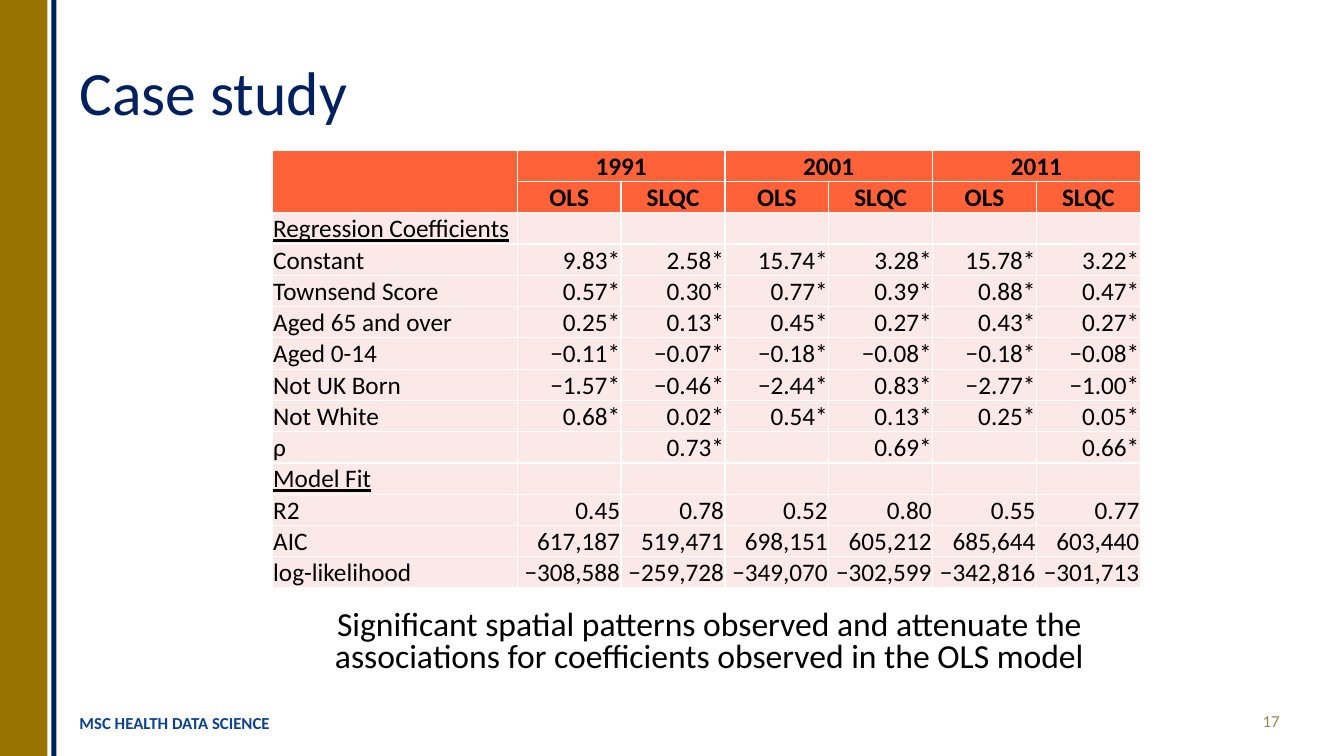
from lxml.etree import SubElement
from pptx import Presentation
from pptx.dml.color import RGBColor
from pptx.enum.shapes import MSO_SHAPE
from pptx.enum.text import MSO_ANCHOR, PP_ALIGN
from pptx.oxml.ns import qn
from pptx.util import Inches, Pt

FONT = "Calibri"
COLOURS = {
    "gold": "997300", "navy": "002060", "blue": "0B4293", "khaki": "948A54",
    "black": "000000", "white": "FFFFFF", "header": "FF6238", "body": "FBE9E8",
}
# left, width, colour
SIDE_BARS = [(0, 0.47, "gold"), (0.51, 0.05, "navy")]

TITLE = "Case study"
CONCLUSION = ("Significant spatial patterns observed and attenuate the "
              "associations for coefficients observed in the OLS model")
COURSE = "MSC HEALTH DATA SCIENCE"
PAGE_NUMBER = "17"

YEARS = ["1991", "2001", "2011"]
MODELS = ["OLS", "SLQC"]
SECTIONS = ["Regression Coefficients", "Model Fit"]
RESULTS = [
    ("Regression Coefficients", "", "", "", "", "", ""),
    ("Constant", "9.83*", "2.58*", "15.74*", "3.28*", "15.78*", "3.22*"),
    ("Townsend Score", "0.57*", "0.30*", "0.77*", "0.39*", "0.88*", "0.47*"),
    ("Aged 65 and over", "0.25*", "0.13*", "0.45*", "0.27*", "0.43*", "0.27*"),
    ("Aged 0-14", "−0.11*", "−0.07*", "−0.18*", "−0.08*", "−0.18*", "−0.08*"),
    ("Not UK Born", "−1.57*", "−0.46*", "−2.44*", "0.83*", "−2.77*", "−1.00*"),
    ("Not White", "0.68*", "0.02*", "0.54*", "0.13*", "0.25*", "0.05*"),
    ("ρ", "", "0.73*", "", "0.69*", "", "0.66*"),
    ("Model Fit", "", "", "", "", "", ""),
    ("R2", "0.45", "0.78", "0.52", "0.80", "0.55", "0.77"),
    ("AIC", "617,187", "519,471", "698,151", "605,212", "685,644", "603,440"),
    ("log-likelihood", "−308,588", "−259,728", "−349,070", "−302,599",
     "−342,816", "−301,713"),
]
TABLE_LEFT, TABLE_TOP = 2.7, 1.49
LABEL_WIDTH, VALUE_WIDTH, ROW_HEIGHT = 2.43, 1.03, 0.31


def colour(name):
    return RGBColor.from_string(COLOURS[name])


def style_paragraph(paragraph, size, colour_name, bold=False, align=PP_ALIGN.LEFT):
    paragraph.alignment = align
    paragraph.font.name = FONT
    paragraph.font.size = Pt(size)
    paragraph.font.bold = bold
    paragraph.font.color.rgb = colour(colour_name)


def add_text(slide, box, text, size, colour_name, bold=False,
             align=PP_ALIGN.LEFT, anchor=MSO_ANCHOR.MIDDLE):
    text_box = slide.shapes.add_textbox(*map(Inches, box))
    frame = text_box.text_frame
    frame.word_wrap = True
    frame.vertical_anchor = anchor
    paragraph = frame.paragraphs[0]
    paragraph.text = text
    style_paragraph(paragraph, size, colour_name, bold, align)
    return paragraph


def add_borders(cell):
    """Draw a thin white line on all four sides of the cell."""
    properties = cell._tc.get_or_add_tcPr()
    for position, side in enumerate(("a:lnL", "a:lnR", "a:lnT", "a:lnB")):
        line = properties.makeelement(qn(side), {"w": str(Pt(1))})
        properties.insert(position, line)
        fill = SubElement(line, qn("a:solidFill"))
        SubElement(fill, qn("a:srgbClr"), val=COLOURS["white"])


def fill_cell(cell, text, is_header, align):
    cell.fill.solid()
    cell.fill.fore_color.rgb = colour("header" if is_header else "body")
    cell.margin_left = cell.margin_right = cell.margin_top = Inches(0.01)
    cell.margin_bottom = 0
    cell.vertical_anchor = MSO_ANCHOR.MIDDLE
    paragraph = cell.text_frame.paragraphs[0]
    if text:
        paragraph.text = text
    style_paragraph(paragraph, 18, "black", is_header, align)
    if text in SECTIONS:
        paragraph.font.underline = True
    add_borders(cell)


def add_results_table(slide):
    year_row = [""] + [text for year in YEARS for text in (year, "")]
    model_row = [""] + MODELS * len(YEARS)
    rows = [year_row, model_row, *RESULTS]
    widths = [LABEL_WIDTH] + [VALUE_WIDTH] * (len(model_row) - 1)
    table = slide.shapes.add_table(
        len(rows), len(widths), Inches(TABLE_LEFT), Inches(TABLE_TOP),
        Inches(sum(widths)), Inches(ROW_HEIGHT * len(rows))).table
    table.first_row = table.horz_banding = False
    for column, width in zip(table.columns, widths):
        column.width = Inches(width)
    for row_index, texts in enumerate(rows):
        table.rows[row_index].height = Inches(ROW_HEIGHT)
        is_header = row_index < 2
        for column_index, text in enumerate(texts):
            align = PP_ALIGN.RIGHT if column_index else PP_ALIGN.LEFT
            if is_header:
                align = PP_ALIGN.CENTER
            fill_cell(table.cell(row_index, column_index), text, is_header, align)
    table.cell(0, 0).merge(table.cell(1, 0))
    for first in range(1, len(widths), len(MODELS)):
        table.cell(0, first).merge(table.cell(0, first + len(MODELS) - 1))


def main():
    presentation = Presentation()
    presentation.slide_width = Inches(13.33)
    presentation.slide_height = Inches(7.5)
    slide = presentation.slides.add_slide(presentation.slide_layouts[6])

    for left, width, colour_name in SIDE_BARS:
        bar = slide.shapes.add_shape(MSO_SHAPE.RECTANGLE, Inches(left), 0,
                                     Inches(width), presentation.slide_height)
        bar.shadow.inherit = False
        bar.fill.solid()
        bar.fill.fore_color.rgb = colour(colour_name)
        bar.line.fill.background()

    title = add_text(slide, (0.69, 0.22, 12.11, 1.45), TITLE, 44, "navy")
    title.line_spacing = 0.9
    add_text(slide, (0.69, 6.97, 2.23, 0.4), COURSE, 12, "blue", bold=True)
    add_text(slide, (11.58, 6.95, 1.21, 0.4), PAGE_NUMBER, 12, "khaki",
             align=PP_ALIGN.RIGHT)
    conclusion = add_text(slide, (2.49, 6.01, 9.09, 0.79), CONCLUSION, 24, "black",
                          align=PP_ALIGN.CENTER, anchor=MSO_ANCHOR.TOP)
    conclusion.line_spacing = 0.8
    conclusion.space_before = Pt(10)
    add_results_table(slide)
    presentation.save("out.pptx")


if __name__ == "__main__":
    main()
